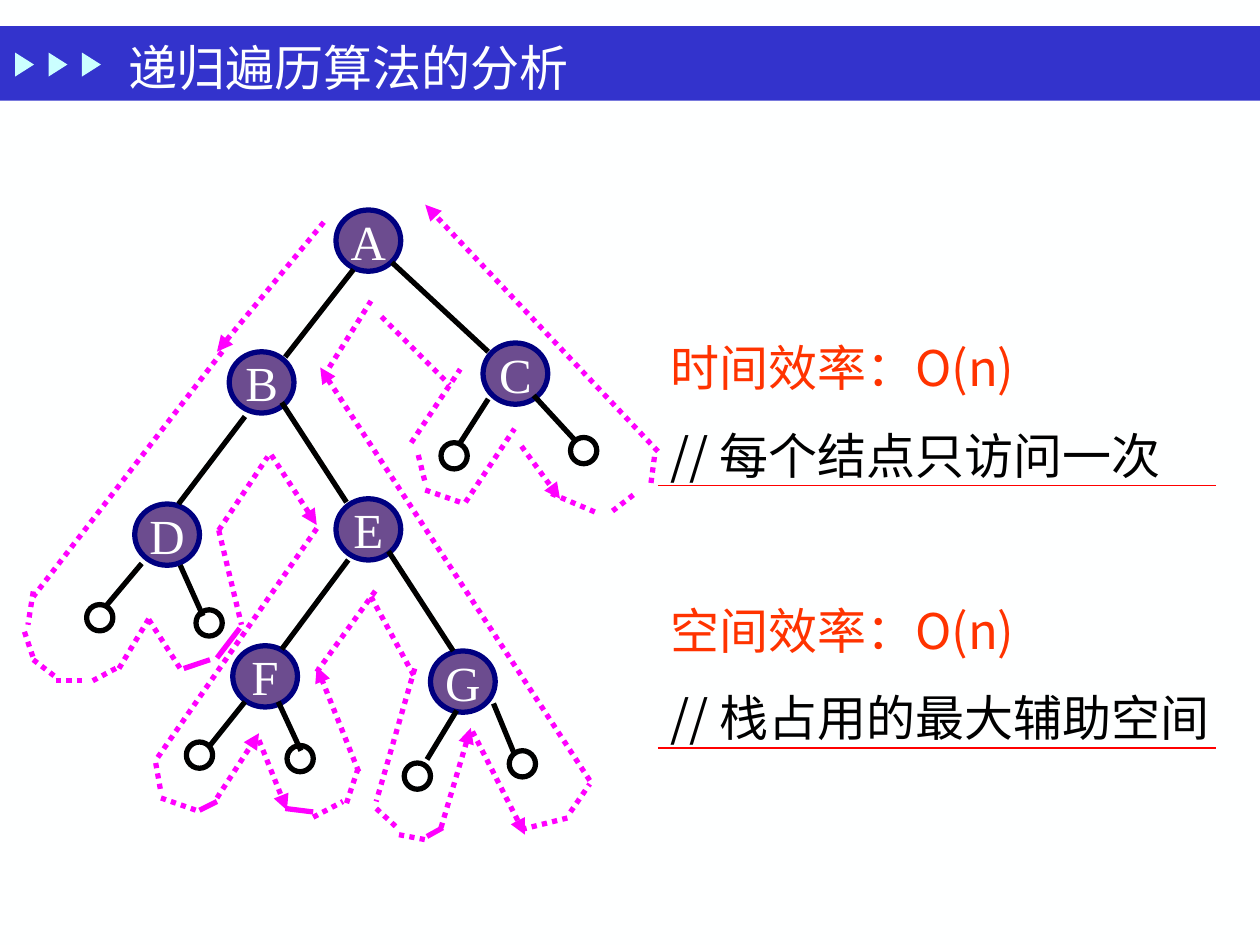
"""Build the slide on the analysis of recursive tree traversal."""
from lxml.etree import SubElement
from pptx import Presentation
from pptx.dml.color import RGBColor
from pptx.enum.dml import MSO_LINE_DASH_STYLE as Dash
from pptx.enum.shapes import MSO_CONNECTOR as Connector, MSO_SHAPE as Shape
from pptx.enum.text import MSO_ANCHOR as Anchor, MSO_AUTO_SIZE as AutoSize, PP_ALIGN as Align
from pptx.oxml.ns import qn
from pptx.util import Pt

COLOURS = {
    "background": "FEFFFF", "bar": "3333CC", "marker": "CBFFFF",
    "node": "6C4C8F", "ring": "000080", "black": "000000",
    "walk": "FF00FF", "heading": "FF3300", "rule": "FF0000",
}
SANS, SERIF = "Noto Sans CJK SC", "Times New Roman"
TEXT_SIZE, LINE_PITCH = 28, 50
BODY_TOP = 173
FIRST_RULE = BODY_TOP + 2 * LINE_PITCH + 4.5

NODES = {
    "A": (192, 120), "B": (131, 201), "C": (276, 196), "D": (77, 288),
    "E": (192, 285), "F": (133, 369), "G": (246, 372),
}
LEAVES = [
    (49.5, 345.5), (112, 348.5), (106.5, 424), (164, 426),
    (231, 436), (291, 429), (326, 250), (252, 253),
]
EDGES = [
    (202, 154, 163, 204), (140, 238, 102, 288), (199, 320, 161, 371),
    (279, 228, 263, 253), (224, 150, 279, 201), (161, 230, 198, 287),
    (222, 315, 259, 372), (81, 322, 60, 347), (103, 323, 116, 352),
    (140, 401, 120, 426), (261, 406, 244, 434), (159, 401, 172, 429),
    (282, 402, 294, 431), (305, 226, 328, 251),
]
SOLID_STEPS = [
    (114, 463, 124, 458), (163, 462, 179, 464), (244, 478, 253, 473),
    (105, 382, 120, 377), (124, 376, 137, 359),
]
DOTTED_STEPS = [
    (14, 361, 19, 376), (32, 389, 50, 389), (372, 276, 374, 261),
    (127, 201, 19, 341), (19, 338, 16, 357), (19, 377, 32, 387),
    (53, 389, 68, 381), (68, 382, 86, 352), (85, 354, 103, 382),
    (125, 303, 138, 357), (125, 303, 153, 261), (181, 302, 90, 433),
    (89, 436, 92, 453), (92, 456, 112, 463), (179, 467, 196, 458),
    (198, 459, 205, 438), (181, 384, 215, 337), (212, 341, 237, 387),
    (237, 382, 215, 458), (215, 462, 228, 474), (228, 477, 244, 480),
    (298, 474, 326, 467), (326, 464, 337, 448), (266, 287, 294, 245),
    (315, 282, 341, 293), (350, 292, 363, 282), (185, 215, 212, 172),
    (218, 181, 257, 220), (235, 253, 263, 211), (239, 260, 243, 276),
    (243, 280, 263, 287),
]
ARROW_STEPS = [
    (185, 127, 124, 201), (155, 260, 181, 300), (124, 456, 148, 419),
    (148, 423, 164, 463), (205, 441, 181, 381), (252, 473, 269, 416),
    (270, 418, 300, 477), (337, 446, 183, 210), (298, 255, 320, 285),
    (376, 258, 243, 117),
]


def colour(name):
    return RGBColor.from_string(COLOURS[name])


def add_run(paragraph, text, colour_name, latin):
    run = paragraph.add_run()
    run.text = text
    run.font.size = Pt(TEXT_SIZE)
    run.font.color.rgb = colour(colour_name)
    run.font.name = latin
    SubElement(run.font._element, qn("a:ea"), typeface=SANS)


def add_figure(slide, kind, left, top, width, height, fill=None, line=None):
    shape = slide.shapes.add_shape(kind, Pt(left), Pt(top), Pt(width), Pt(height))
    shape.shadow.inherit = False
    if fill:
        shape.fill.solid()
        shape.fill.fore_color.rgb = colour(fill)
    else:
        shape.fill.background()
    if line:
        shape.line.color.rgb = colour(line)
        shape.line.width = Pt(3)
    else:
        shape.line.fill.background()
    return shape


def add_node(slide, letter, left, top):
    node = add_figure(slide, Shape.OVAL, left, top, 37, 35, "node", "ring")
    frame = node.text_frame
    frame.word_wrap = False
    frame.vertical_anchor = Anchor.MIDDLE
    paragraph = frame.paragraphs[0]
    paragraph.alignment = Align.CENTER
    add_run(paragraph, letter, "background", SERIF)


def add_line(slide, ends, colour_name, width=3, dotted=False, arrow=False):
    line = slide.shapes.add_connector(Connector.STRAIGHT, *map(Pt, ends))
    line.line.color.rgb = colour(colour_name)
    line.line.width = Pt(width)
    if dotted:
        line.line.dash_style = Dash.ROUND_DOT
    properties = line._element.spPr
    if arrow:
        SubElement(properties.find(qn("a:ln")), qn("a:tailEnd"), type="triangle")
    SubElement(properties, qn("a:effectLst"))


def place(shape, left, top, width, height):
    shape.left, shape.top, shape.width, shape.height = map(Pt, (left, top, width, height))
    shape.text_frame.word_wrap = True
    shape.text_frame.auto_size = AutoSize.NONE
    tree = shape.element.getparent()
    tree.append(shape.element)


def fill_title(title):
    place(title, 66, 18, 291, 40)
    title.text_frame.vertical_anchor = Anchor.MIDDLE
    paragraph = title.text_frame.paragraphs[0]
    paragraph.alignment = Align.LEFT
    add_run(paragraph, "递归遍历算法的分析", "background", SERIF)


def fill_body(body):
    place(body, 376, BODY_TOP, 330, 260)
    frame = body.text_frame
    frame.vertical_anchor = Anchor.TOP
    lines = [
        ("时间效率：O(n)", "heading", 0),
        ("// 每个结点只访问一次", "black", 0),
        ("空间效率：O(n)", "heading", LINE_PITCH),
        ("// 栈占用的最大辅助空间", "black", 0),
    ]
    for index, (text, colour_name, gap) in enumerate(lines):
        paragraph = frame.add_paragraph() if index else frame.paragraphs[0]
        paragraph.line_spacing = Pt(LINE_PITCH)
        paragraph.space_before = Pt(gap)
        properties = paragraph._p.get_or_add_pPr()
        properties.set("marL", "0")
        properties.set("indent", "0")
        SubElement(properties, qn("a:buNone"))
        add_run(paragraph, text, colour_name, SANS)


def add_title_bar(slide):
    add_figure(slide, Shape.RECTANGLE, 0, 15, 720, 42.5, "bar")
    for index in range(3):
        marker = add_figure(slide, Shape.ISOSCELES_TRIANGLE, 7.2 + 19.1 * index, 31.5, 13.7, 10.8, "marker")
        marker.rotation = 90


def add_tree(slide):
    for letter, (left, top) in NODES.items():
        add_node(slide, letter, left, top)
    for left, top in LEAVES:
        add_figure(slide, Shape.OVAL, left, top, 15, 15, line="black")
    for ends in EDGES:
        add_line(slide, ends, "black")


def add_walk(slide):
    for steps, dotted, arrow in (
        (SOLID_STEPS, False, False),
        (DOTTED_STEPS, True, False),
        (ARROW_STEPS, True, True),
    ):
        for ends in steps:
            add_line(slide, ends, "walk", dotted=dotted, arrow=arrow)


def main():
    presentation = Presentation()
    presentation.slide_width, presentation.slide_height = Pt(720), Pt(540)
    slide = presentation.slides.add_slide(presentation.slide_layouts[1])
    slide.background.fill.solid()
    slide.background.fill.fore_color.rgb = colour("background")
    add_title_bar(slide)
    add_tree(slide)
    add_walk(slide)
    fill_body(slide.placeholders[1])
    fill_title(slide.shapes.title)
    for top in (FIRST_RULE, FIRST_RULE + 3 * LINE_PITCH):
        add_line(slide, (376, top, 695, top), "rule", width=0.75)
    presentation.save("out.pptx")


if __name__ == "__main__":
    main()
